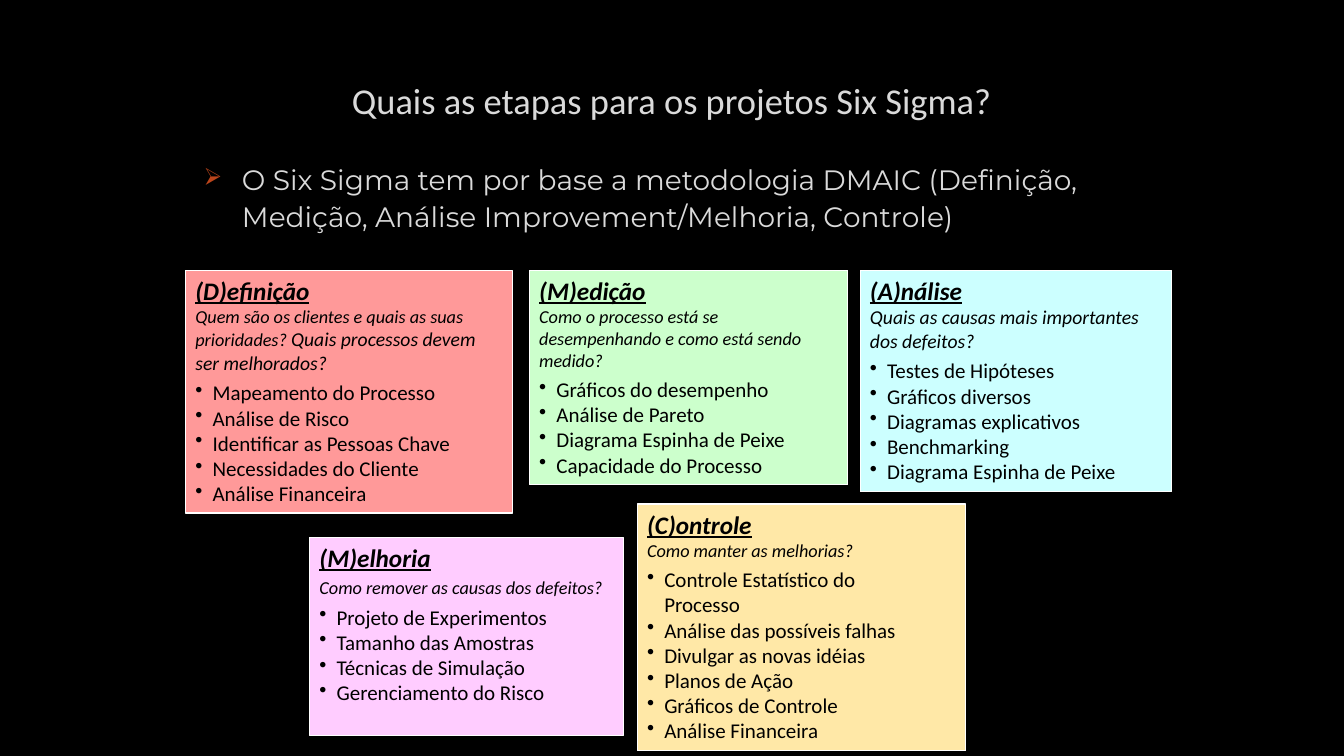
from lxml import etree
from pptx import Presentation
from pptx.dml.color import RGBColor
from pptx.enum.shapes import MSO_SHAPE as Shape
from pptx.enum.text import MSO_ANCHOR as Anchor, PP_ALIGN as Align
from pptx.oxml.ns import qn
from pptx.util import Inches, Pt

PALE, INK = "DADADA", "000000"

# left, top, width, height, fill, heading, question runs, gap before it, items
STEPS = [
    (1.84, 2.68, 3.24, 2.41, "FF9999", "(D)efinição",
     [("Quem são os clientes e quais as suas prioridades? ", 13),
      ("Quais processos devem ser melhorados?", 14)], 0,
     ["Mapeamento do Processo", "Análise de Risco",
      "Identificar as Pessoas Chave", "Necessidades do Cliente",
      "Análise Financeira"]),
    (5.25, 2.68, 3.16, 2.13, "CCFFCC", "(M)edição",
     [("Como o processo está se desempenhando e como está sendo medido?",
       13)], 0,
     ["Gráficos do desempenho", "Análise de Pareto",
      "Diagrama Espinha de Peixe", "Capacidade do Processo"]),
    (8.53, 2.68, 3.09, 2.2, "CCFFFF", "(A)nálise",
     [("Quais as causas mais importantes dos defeitos?", 14)], 0,
     ["Testes de Hipóteses", "Gráficos diversos", "Diagramas explicativos",
      "Benchmarking", "Diagrama Espinha de Peixe"]),
    (3.07, 5.33, 3.11, 1.97, "FFCCFF", "(M)elhoria",
     [("Como remover as causas dos defeitos?", 13)], 3,
     ["Projeto de Experimentos", "Tamanho das Amostras",
      "Técnicas de Simulação", "Gerenciamento do Risco"]),
    (6.32, 5, 3.26, 2.45, "FFE8A7", "(C)ontrole",
     [("Como manter as melhorias?", 13)], 0,
     ["Controle Estatístico do\vProcesso", "Análise das possíveis falhas",
      "Divulgar as novas idéias", "Planos de Ação",
      "Gráficos de Controle", "Análise Financeira"]),
]


def color(code):
    return RGBColor.from_string(code)


def bullet(para, mark, indent, tint=None, scale=None):
    """Give the paragraph a bullet with a hanging indent in inches."""
    props = para._p.get_or_add_pPr()
    props.set("marL", str(Inches(indent)))
    props.set("indent", str(-Inches(indent)))
    if tint:
        holder = etree.SubElement(props, qn("a:buClr"))
        etree.SubElement(holder, qn("a:srgbClr"), val=tint)
    if scale:
        etree.SubElement(props, qn("a:buSzPct"), val=str(scale * 1000))
    etree.SubElement(props, qn("a:buChar"), char=mark)


def write(para, text, size, font="Calibri", tint=INK, bold=False,
          italic=False, under=False, align=Align.LEFT, before=0):
    """Add text to the paragraph; a vertical tab breaks the line."""
    para.alignment = align
    para.space_before = Pt(before)
    for num, part in enumerate(text.split("\v")):
        if num:
            para.add_line_break()
        run = para.add_run()
        run.text = part
        face = run.font
        face.name, face.size = font, Pt(size)
        face.bold, face.italic, face.underline = bold, italic, under
        face.color.rgb = color(tint)


def panel(slide, box, fill, line=None, pad=(0.1, 0.05)):
    """Draw a filled rectangle and return its text frame."""
    shape = slide.shapes.add_shape(Shape.RECTANGLE, *map(Inches, box))
    shape.shadow.inherit = False
    shape.fill.solid()
    shape.fill.fore_color.rgb = color(fill)
    if line:
        shape.line.color.rgb = color(line)
        shape.line.width = Pt(0.75)
    else:
        shape.line.fill.background()
    frame = shape.text_frame
    frame.word_wrap = True
    frame.vertical_anchor = Anchor.TOP
    frame.margin_left = frame.margin_right = Inches(pad[0])
    frame.margin_top = frame.margin_bottom = Inches(pad[1])
    return frame


def header(slide, box):
    title = slide.shapes.title
    title.left, title.top, title.width, title.height = map(Inches, box)
    frame = title.text_frame
    frame.vertical_anchor = Anchor.MIDDLE
    write(frame.paragraphs[0], "Quais as etapas para os projetos Six Sigma?",
          26, tint=PALE, align=Align.CENTER)


def intro(slide, box):
    para = panel(slide, box, INK, pad=(0.08, 0.03)).paragraphs[0]
    para.line_spacing = 1.1
    bullet(para, "➢", 0.38, tint="BC451B", scale=85)
    write(para, "O Six Sigma tem por base a metodologia DMAIC (Definição, "
          "Medição, Análise Improvement/Melhoria, Controle)",
          20, font="Montserrat", tint=PALE)


def card(slide, box, fill, name, query, gap, items):
    """Draw one step: heading, guiding question and bulleted tools."""
    frame = panel(slide, box, fill, line="FFFFFF")
    write(frame.paragraphs[0], name, 18, bold=True, italic=True, under=True)
    para = frame.add_paragraph()
    for text, size in query:
        write(para, text, size, italic=True, before=gap)
    for num, item in enumerate(items):
        para = frame.add_paragraph()
        bullet(para, "•", 0.17)
        write(para, item, 15, before=0 if num else 4)


def main():
    deck = Presentation()
    deck.slide_width, deck.slide_height = Inches(13.33), Inches(7.5)
    slide = deck.slides.add_slide(deck.slide_layouts.get_by_name("Title Only"))
    slide.background.fill.solid()
    slide.background.fill.fore_color.rgb = color(INK)
    header(slide, (2.08, 0.58, 9.17, 0.83))
    for step in STEPS:
        card(slide, step[:4], *step[4:])
    intro(slide, (1.94, 1.55, 9.31, 0.89))
    deck.save("out.pptx")


if __name__ == "__main__":
    main()
